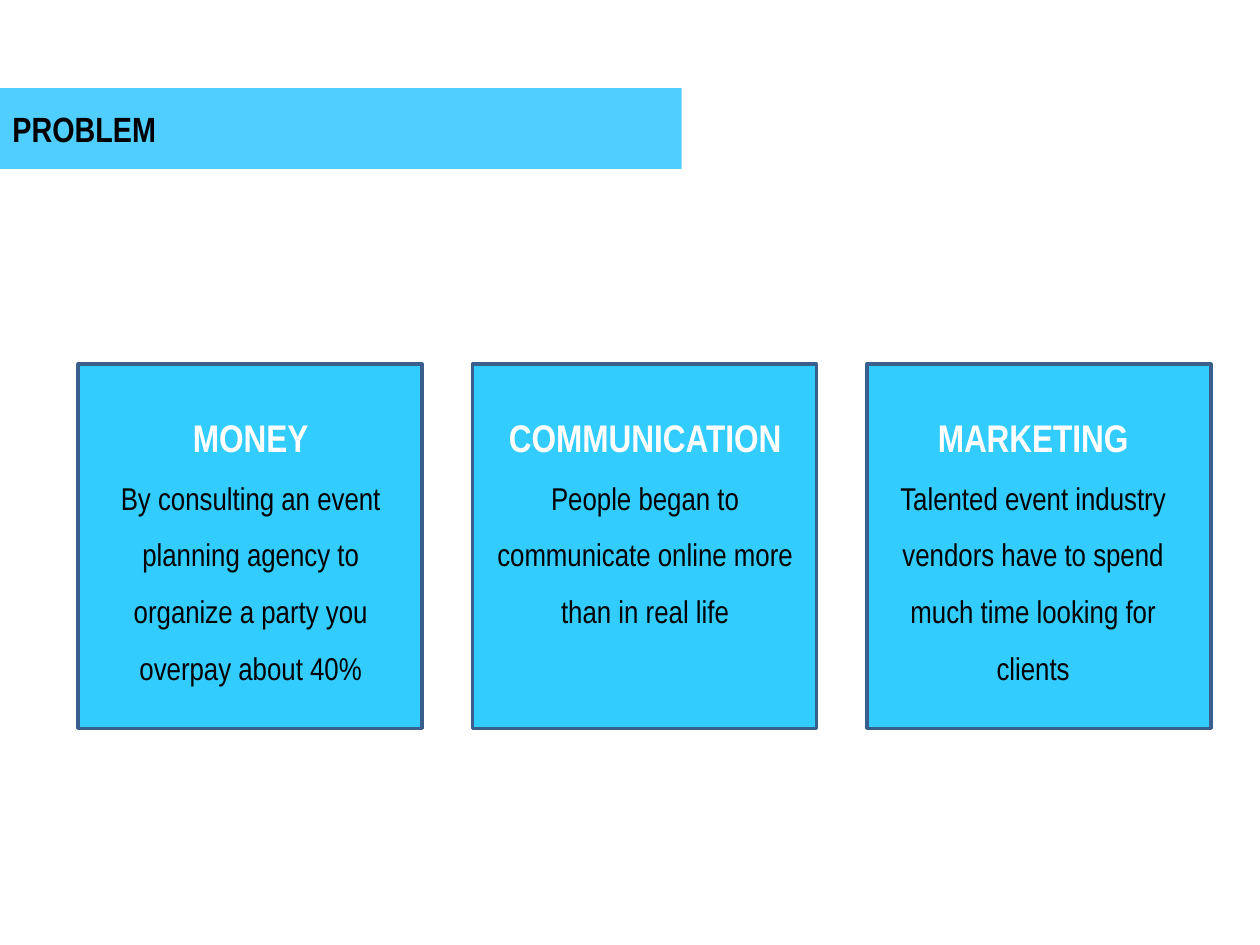
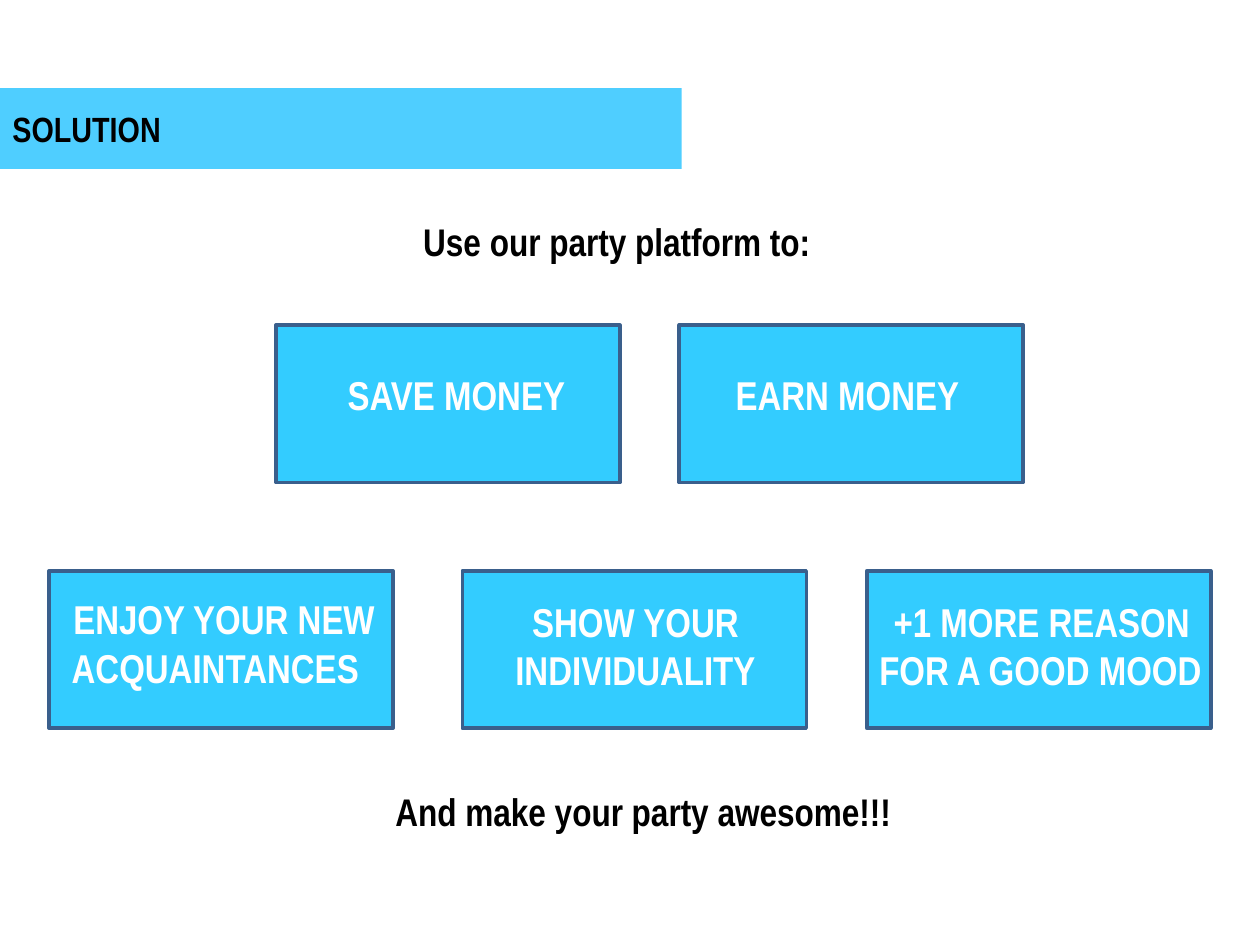
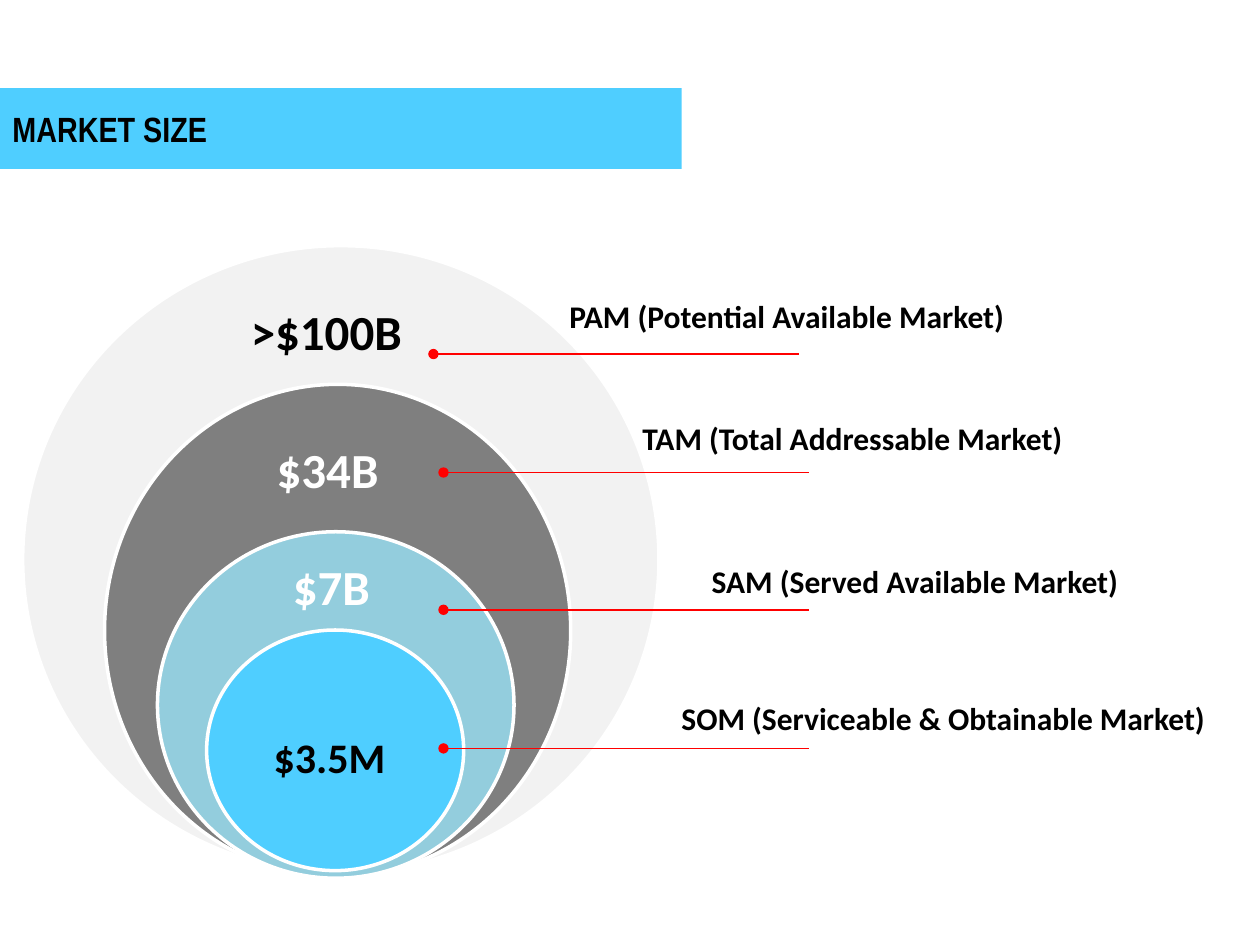
from dataclasses import dataclass

from lxml import etree
from pptx import Presentation
from pptx.dml.color import RGBColor
from pptx.enum import shapes, text
from pptx.oxml import ns
from pptx.util import Inches, Pt


@dataclass(frozen=True)
class Theme:
    band: str = "4FCEFF"
    card: str = "33CCFF"
    card_line: str = "3A5F8C"
    black: str = "000000"
    white: str = "FFFFFF"
    pale_grey: str = "F2F2F2"
    grey: str = "7F7F7F"
    soft_blue: str = "93CDDD"
    red: str = "FF0000"
    narrow: str = "Arial Narrow"
    plain: str = "Calibri"
    title_size: int = 20
    heading_size: int = 22
    button_size: int = 23
    body_size: int = 18
    figure_size: int = 28
    small_figure_size: int = 24
    outline: int = 2
    leader: int = 1


THEME = Theme()
LEFT = text.PP_ALIGN.LEFT
CENTER = text.PP_ALIGN.CENTER
CARD_WIDTH = 2.73


def color(value):
    return RGBColor.from_string(value)


def format_paragraph(paragraph, size, ink, font=THEME.narrow, bold=True,
                     align=LEFT, spacing=None):
    paragraph.alignment = align
    if spacing:
        paragraph.line_spacing = spacing
    for run in paragraph.runs:
        run.font.name = font
        run.font.size = Pt(size)
        run.font.bold = bold
        run.font.color.rgb = color(ink)


def add_box(slide, kind, place, fill, line=None):
    shape = slide.shapes.add_shape(kind, *map(Inches, place))
    shape.shadow.inherit = False
    shape.fill.solid()
    shape.fill.fore_color.rgb = color(fill)
    if line:
        shape.line.color.rgb = color(line)
        shape.line.width = Pt(THEME.outline)
    else:
        shape.line.fill.background()
    return shape


def add_title(slide, title):
    band = add_box(slide, shapes.MSO_SHAPE.RECTANGLE, (0, 0.7, 5.41, 0.64), THEME.band)
    frame = band.text_frame
    frame.text = title
    frame.vertical_anchor = text.MSO_ANCHOR.MIDDLE
    frame.margin_top = frame.margin_bottom = Inches(0.1)
    format_paragraph(frame.paragraphs[0], THEME.title_size, THEME.black)


def add_card(slide, left, top, height):
    add_box(slide, shapes.MSO_SHAPE.RECTANGLE, (left, top, CARD_WIDTH, height),
            THEME.card, THEME.card_line)


def add_text(slide, place, content, wrap=True):
    frame = slide.shapes.add_textbox(*map(Inches, place)).text_frame
    frame.word_wrap = wrap
    frame.text = content
    return frame.paragraphs


def add_line_of_text(slide, place, content, size, ink, font, align=CENTER, spacing=None):
    paragraph, = add_text(slide, place, content)
    format_paragraph(paragraph, size, ink, font, align=align, spacing=spacing)


def add_problem(slide, column, text_left, text_width, text_height, heading, body):
    add_card(slide, 0.62 + column * 3.13, 2.89, 2.89)
    place = (text_left, 3.05, text_width, text_height)
    first, second = add_text(slide, place, f"{heading}\n{body}")
    format_paragraph(first, THEME.heading_size, THEME.white, align=CENTER, spacing=1.5)
    format_paragraph(second, THEME.body_size, THEME.black, bold=False,
                     align=CENTER, spacing=1.5)


def add_button_label(slide, place, content, alignments):
    for paragraph, align in zip(add_text(slide, place, content, wrap=False), alignments):
        format_paragraph(paragraph, THEME.button_size, THEME.white, align=align)


def add_leader(slide, right, top):
    line = slide.shapes.add_connector(
        shapes.MSO_CONNECTOR.STRAIGHT,
        Inches(right), Inches(top), Inches(right - 2.9), Inches(top))
    line.line.color.rgb = color(THEME.red)
    line.line.width = Pt(THEME.leader)
    etree.SubElement(line.line._get_or_add_ln(), ns.qn("a:tailEnd"), type="oval")
    etree.SubElement(line._element.spPr, ns.qn("a:effectLst"))


def build_problem(slide):
    add_title(slide, "PROBLEM")
    problems = [
        (0.78, 2.42, 2.8, "MONEY",
         "By consulting an event planning agency to organize a party you overpay about 40%"),
        (3.83, 2.58, 2.02, "COMMUNICATION",
         "People began to communicate online more than in real life"),
        (6.95, 2.5, 2.58, "MARKETING",
         "Talented event industry vendors have to spend much time looking for clients"),
    ]
    for column, problem in enumerate(problems):
        add_problem(slide, column, *problem)


def build_solution(slide):
    add_title(slide, "SOLUTION")
    for top, lefts in ((2.58, (2.19, 5.39)), (4.53, (0.39, 3.67, 6.88))):
        for left in lefts:
            add_card(slide, left, top, 1.25)
    labels = [
        ((2.66, 2.89, 1.95, 0.49), "SAVE MONEY", [LEFT]),
        ((5.74, 2.89, 2, 0.49), "EARN MONEY", [LEFT]),
        ((0.47, 4.67, 2.62, 0.88), "ENJOY YOUR NEW\nACQUAINTANCES", [CENTER, LEFT]),
        ((3.98, 4.69, 2.13, 0.88), "SHOW YOUR\nINDIVIDUALITY", [CENTER, CENTER]),
        ((6.88, 4.69, 2.78, 0.88), "+1 MORE REASON\nFOR A GOOD MOOD", [CENTER, LEFT]),
    ]
    for label in labels:
        add_button_label(slide, *label)
    for left, top, sentence in (
            (0.23, 1.72, "Use our party platform to:"),
            (0.44, 6.25, "And make your party awesome!!!")):
        add_line_of_text(slide, (left, top, 9.33, 0.52), sentence,
                         THEME.heading_size, THEME.black, THEME.narrow, spacing=0.9)


def build_market_size(slide):
    add_title(slide, "MARKET SIZE")
    circles = [
        ((0.18, 1.95, 5.05, 4.98), THEME.pale_grey),
        ((0.83, 3.05, 3.7, 3.91), THEME.grey),
        ((1.25, 4.22, 2.83, 2.75), THEME.soft_blue),
        ((1.64, 5, 2.04, 1.91), THEME.band),
    ]
    for place, fill in circles:
        add_box(slide, shapes.MSO_SHAPE.OVAL, place, fill, THEME.white)

    figures = [
        ((1.41, 2.34, 2.36, 0.82), ">$100B", THEME.figure_size, THEME.black),
        ((1.3, 3.44, 2.6, 0.82), "$34B", THEME.figure_size, THEME.white),
        ((1.33, 4.37, 2.6, 0.82), "$7B", THEME.figure_size, THEME.white),
        ((1.63, 5.76, 1.97, 0.72), "$3.5M", THEME.small_figure_size, THEME.black),
    ]
    for place, figure, size, ink in figures:
        add_line_of_text(slide, place, figure, size, ink, THEME.plain)

    markets = [
        ((4.13, 2.31, 4.23, 0.58), "PAM (Potential Available Market)", CENTER, 6.34, 2.81),
        ((5, 3.28, 3.87, 0.52), "TAM (Total Addressable Market)", LEFT, 6.42, 3.75),
        ((5.55, 4.41, 3.91, 0.52), "SAM (Served Available Market)", LEFT, 6.42, 4.84),
        ((5.31, 5.5, 4.53, 0.52), "SOM (Serviceable & Obtainable Market)", LEFT, 6.42, 5.94),
    ]
    for place, market, align, line_right, line_top in markets:
        add_line_of_text(slide, place, market, THEME.body_size, THEME.black,
                         THEME.plain, align)
        add_leader(slide, line_right, line_top)


def main():
    presentation = Presentation()
    presentation.slide_width = Inches(10)
    presentation.slide_height = Inches(7.5)
    for build in (build_problem, build_solution, build_market_size):
        build(presentation.slides.add_slide(presentation.slide_layouts[6]))
    presentation.save("out.pptx")


if __name__ == "__main__":
    main()
